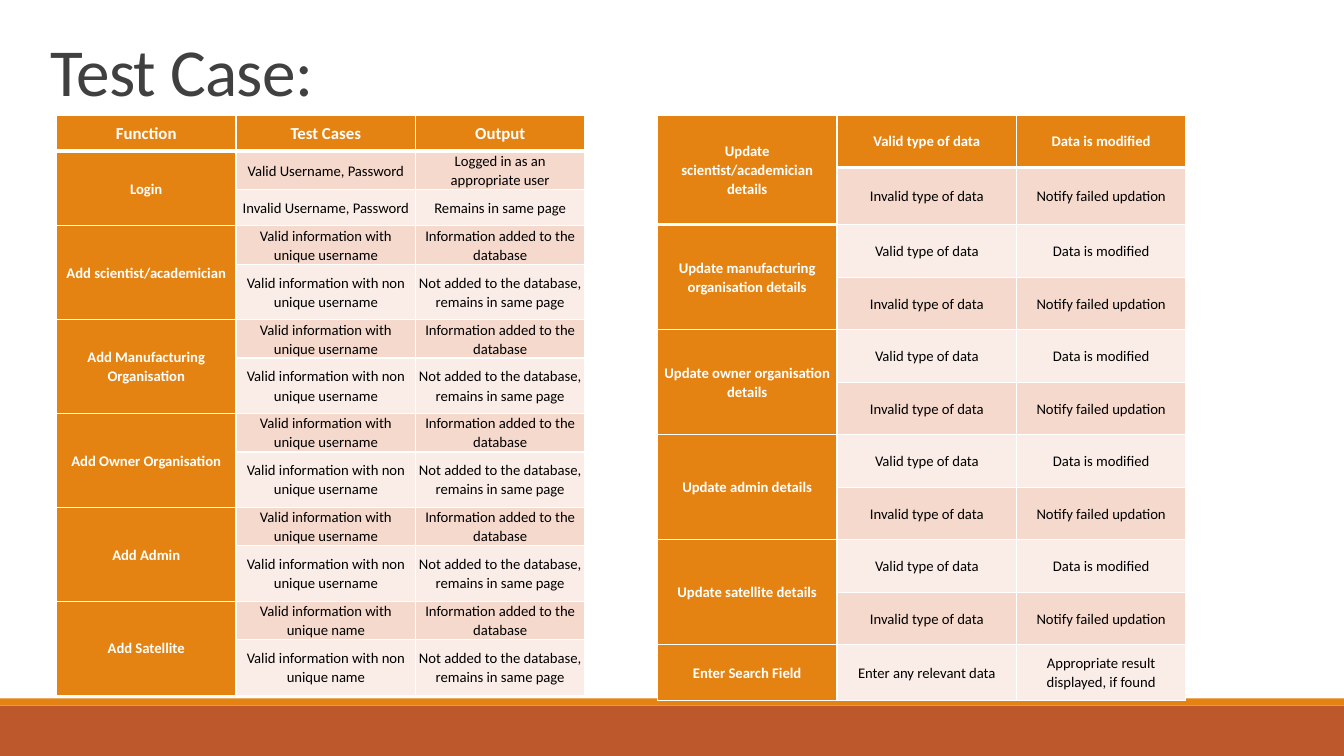
from lxml import etree
from pptx import Presentation
from pptx.dml.color import RGBColor
from pptx.enum.shapes import MSO_SHAPE
from pptx.enum.text import MSO_ANCHOR, MSO_AUTO_SIZE, PP_ALIGN
from pptx.oxml.ns import qn
from pptx.util import Inches, Pt

RECT = MSO_SHAPE.RECTANGLE
MIDDLE, BOTTOM = MSO_ANCHOR.MIDDLE, MSO_ANCHOR.BOTTOM
FIXED = MSO_AUTO_SIZE.NONE
LEFT, CENTER = PP_ALIGN.LEFT, PP_ALIGN.CENTER

WIDE, HIGH = 13.33, 7.5
FONT = "Calibri"
HUES = {"rust": "BD582C", "orange": "E48312", "dark": "F5D9CC",
        "light": "FAEDE7", "white": "FFFFFF", "black": "000000",
        "title": "404040"}
COLS = (0.34, 0.34, 0.32)  # shares of the table width
INSET = {"margin_left": Inches(0.03), "margin_right": Inches(0.03),
         "margin_top": 0, "margin_bottom": 0, "vertical_anchor": MIDDLE}


def add_case(name, key):
    return (name, [(f"Valid information with unique {key}",
                    "Information added to the database"),
                   (f"Valid information with non\nunique {key}",
                    "Not added to the database, remains in same page")])


def edit_case(name):
    return (f"Update {name} details" if name != "admin" else "Update admin details",
            [("Valid type of data", "Data is modified"),
             ("Invalid type of data", "Notify failed updation")])


ADDING = [
    ("Function", [("Test Cases", "Output")]),
    ("Login", [("Valid Username, Password", "Logged in as an appropriate user"),
               ("Invalid Username, Password", "Remains in same page")]),
    *[add_case(f"Add {name}", "username") for name in (
        "scientist/academician", "Manufacturing Organisation",
        "Owner Organisation", "Admin")],
    add_case("Add Satellite", "name"),
]
EDITING = [
    *[edit_case(name) for name in (
        "scientist/academician", "manufacturing organisation",
        "owner organisation", "admin", "satellite")],
    ("Enter Search Field", [("Enter any relevant data",
                             "Appropriate result displayed, if found")]),
]
# Row weights, shared out over the table height
ADD_ROWS = [0.36, 0.38, 0.36] + [0.38, 0.55] * 5
EDIT_ROWS = [0.52] * 10 + [0.55]


def hue(name):
    return RGBColor.from_string(HUES[name])


def style(para, size, color, bold, align, space):
    para.alignment, para.line_spacing = align, space
    for run in para.runs:
        look = {"name": FONT, "size": Pt(size), "bold": bold}
        for key, value in look.items():
            setattr(run.font, key, value)
        run.font.color.rgb = hue(color)


def edge(cell, base):
    """Draw white cell borders, with the bottom one base points wide."""
    props = cell._tc.get_or_add_tcPr()
    for spot, (side, width) in enumerate(
            zip(("lnL", "lnR", "lnT", "lnB"), (1, 1, 1, base))):
        line = etree.Element(qn(f"a:{side}"), w=str(Pt(width)))
        fill = etree.SubElement(line, qn("a:solidFill"))
        etree.SubElement(fill, qn("a:srgbClr"), val=HUES["white"])
        props.insert(spot, line)


def fill_cell(cell, text, color, head, size):
    for key, value in INSET.items():
        setattr(cell, key, value)
    cell.fill.solid()
    cell.fill.fore_color.rgb = hue(color)
    cell.text_frame.text = text
    for para in cell.text_frame.paragraphs:
        style(para, size, "white" if head else "black", head, CENTER, 1.07)


def add_cases(slide, box, groups, weights, top_size):
    left, top, width, height = box
    grid = slide.shapes.add_table(
        len(weights), len(COLS), *map(Inches, box)).table
    for col, share in zip(grid.columns, COLS):
        col.width = Inches(width * share)
    for row, weight in zip(grid.rows, weights):
        row.height = Inches(height * weight / sum(weights))
    first = 0
    for name, cases in groups:
        size = top_size if first == 0 else 10.5
        for row, case in enumerate(cases, first):
            band = "orange" if row == 0 else "dark" if row % 2 else "light"
            for col, text in enumerate(case, 1):
                fill_cell(grid.cell(row, col), text, band, row == 0, size)
            for col in range(len(COLS)):
                thick = row == 0 or (first == 0 and col == 0)
                edge(grid.cell(row, col), 3 if thick else 1)
        fill_cell(grid.cell(first, 0), name, "orange", True, size)
        last = first + len(cases) - 1
        if last > first:
            grid.cell(first, 0).merge(grid.cell(last, 0))
        first = last + 1


def add_bar(slide, box, color):
    bar = slide.shapes.add_shape(RECT, *map(Inches, box))
    bar.shadow.inherit = False
    bar.fill.solid()
    bar.fill.fore_color.rgb = hue(color)
    bar.line.fill.background()


def add_title(slide, box, text):
    title = slide.shapes.title
    for key, value in zip(("left", "top", "width", "height"), box):
        setattr(title, key, Inches(value))
    frame = title.text_frame
    frame.text = text
    frame.auto_size, frame.vertical_anchor = FIXED, BOTTOM
    para = frame.paragraphs[0]
    style(para, 48, "title", False, LEFT, 0.85)
    para.runs[0].font._element.set("spc", "-50")


def main():
    deck = Presentation()
    deck.slide_width, deck.slide_height = Inches(WIDE), Inches(HIGH)
    slide = deck.slides.add_slide(deck.slide_layouts[5])
    add_bar(slide, (0, 7, WIDE, 0.5), "rust")
    add_bar(slide, (0, 6.93, WIDE, 0.07), "orange")
    add_title(slide, (0.4, 0.2, 11, 0.94), "Test Case:")
    add_cases(slide, (0.56, 1.14, 5.24, 5.76), ADDING, ADD_ROWS, 12)
    add_cases(slide, (6.52, 1.14, 5.24, 5.76), EDITING, EDIT_ROWS, 10.5)
    deck.save("out.pptx")


if __name__ == "__main__":
    main()
